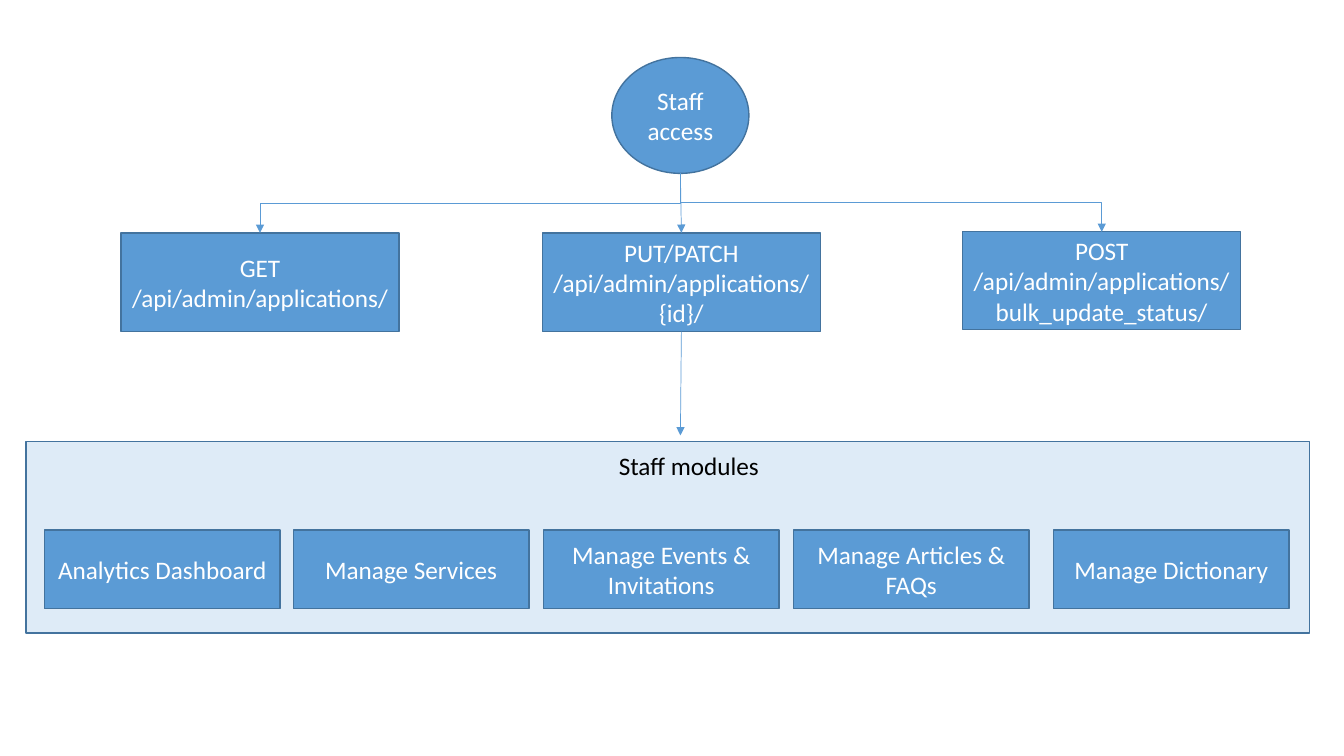
from pptx import Presentation
from pptx.dml.color import RGBColor
from pptx.enum.shapes import MSO_CONNECTOR as Link, MSO_SHAPE as Kind
from pptx.enum.text import MSO_ANCHOR as Anchor, MSO_AUTO_SIZE as Fit, PP_ALIGN as Align
from pptx.oxml.ns import qn
from pptx.util import Pt
from lxml.etree import SubElement

PX = 9144
BLUE, EDGE, PALE, WHITE, BLACK = "5B9BD5", "43739E", "DEEBF7", "FFFFFF", "000000"
CALLS = [
    ("GET /api/admin/applications/", 0, 1, 98),
    ("PUT/PATCH /api/admin/applications/{id}/", 418, 1, 98),
    ("POST /api/admin/applications/bulk_update_status/", 835, 0, 97),
]
MODULES = [
    ("Analytics Dashboard", 18),
    ("Manage Services", 265),
    ("Manage Events & Invitations", 513),
    ("Manage Articles & FAQs", 761),
    ("Manage Dictionary", 1019),
]


def px(*sizes):
    """Turn pixels into EMU."""
    return [int(size * PX) for size in sizes]


def color(code):
    """Turn a hex string into a colour."""
    return RGBColor.from_string(code)


def style(frame, text, code):
    """Write one paragraph in the slide's font."""
    frame.text = text
    para = frame.paragraphs[0]
    para.font.name, para.font.size = "Calibri", Pt(18)
    para.font.color.rgb = color(code)
    return para


def node(slide, box, text="", kind=Kind.RECTANGLE, fill=BLUE):
    """Draw a filled, outlined shape with centred text."""
    shape = slide.shapes.add_shape(kind, *px(*box))
    shape.shadow.inherit = False
    shape.fill.solid()
    shape.fill.fore_color.rgb = color(fill)
    shape.line.color.rgb = color(EDGE)
    shape.line.width = Pt(1)
    if text:
        shape.text_frame.vertical_anchor = Anchor.MIDDLE
        style(shape.text_frame, text, WHITE).alignment = Align.CENTER
    return shape


def arrow(slide, start, end, kind=Link.STRAIGHT):
    """Draw a thin line with an arrowhead at its end."""
    line = slide.shapes.add_connector(kind, *px(*start, *end))
    line.line.color.rgb = color(BLUE)
    line.line.width = Pt(0.5)
    props = line._element.spPr
    SubElement(props.find(qn("a:ln")), qn("a:tailEnd"), type="triangle")
    SubElement(props, qn("a:effectLst"))
    return line


def elbow(slide, start, end):
    """Draw an arrow that goes down, across and down."""
    line = arrow(slide, start, end, Link.ELBOW)
    wide, high = abs(end[0] - start[0]), end[1] - start[1]
    left = (start[0] + end[0] - high) / 2
    top = (start[1] + end[1] - wide) / 2
    line.left, line.top, line.width, line.height = px(left, top, high, wide)
    frame = line._element.spPr.find(qn("a:xfrm"))
    right = end[0] > start[0]
    frame.set("rot", str((270 if right else 90) * 60000))
    frame.set("flipH", "1" if right else "0")


def access(slide, left, top, width):
    """Draw the staff circle and its three API calls."""
    mid = left + width // 2
    node(slide, (mid - 68, top, 136, 115), "Staff\vaccess", Kind.OVAL)
    start = (mid, top + 115)
    for text, shift, drop, high in CALLS:
        x, y = left + shift, top + 173 + drop
        call = node(slide, (x, y, 276, high), text)
        if abs(x + 138 - mid) > 1:
            elbow(slide, start, (x + 138, y))
        else:
            arrow(slide, start, (mid, y)).end_connect(call, 0)
            arrow(slide, (mid, y + high), (mid, y + 201)).begin_connect(call, 2)


def modules(slide, left, top, width, height):
    """Draw the panel of staff modules."""
    node(slide, (left, top, width, height), fill=PALE)
    label = slide.shapes.add_textbox(*px(left + 578, top + 4, 161, 40))
    label.text_frame.word_wrap = False
    label.text_frame.auto_size = Fit.SHAPE_TO_FIT_TEXT
    style(label.text_frame, "Staff modules", BLACK)
    for text, shift in MODULES:
        node(slide, (left + shift, top + 88, 234, 78), text)


def main():
    """Build and save the slide."""
    deck = Presentation()
    deck.slide_width, deck.slide_height = px(1333.33, 750)
    slide = deck.slides.add_slide(deck.slide_layouts[6])
    modules(slide, 26, 438, 1273, 190)
    access(slide, 120, 57, 1111)
    deck.save("out.pptx")


if __name__ == "__main__":
    main()
